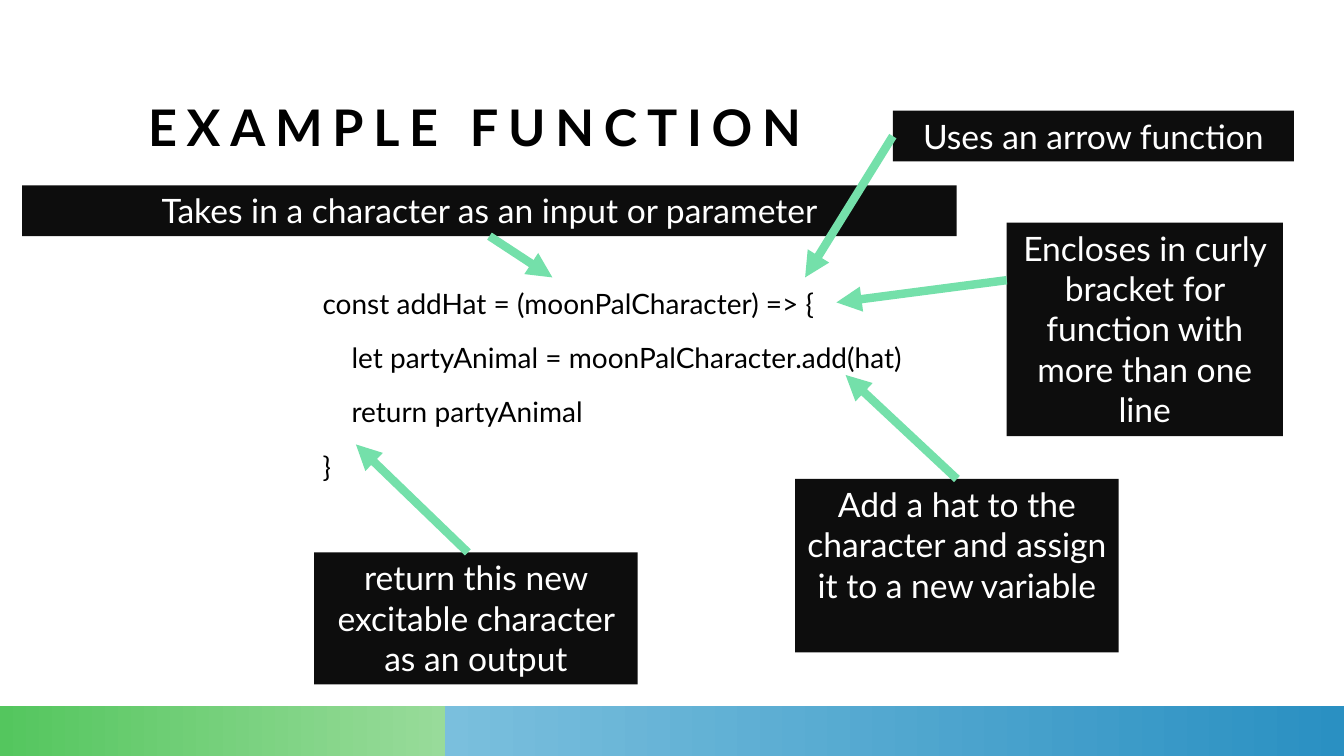
from lxml.etree import SubElement
from pptx import Presentation
from pptx.dml.color import RGBColor
from pptx.enum.shapes import MSO_CONNECTOR as Connector, MSO_SHAPE as Shape
from pptx.enum.text import MSO_ANCHOR as Anchor, MSO_AUTO_SIZE as AutoSize, PP_ALIGN as Align
from pptx.oxml.ns import qn
from pptx.util import Cm, Pt

COLOURS = {
    "ink": "000000", "paper": "FFFFFF", "callout": "0D0D0D", "arrow": "74E0AA",
    "green": "54C65E", "pale_green": "98DB9A", "sky": "7ABFDD", "blue": "2A90C2",
}
FONT = "Lato"
BOTTOM, LEFT, TOP = 2, 1, 0
CODE = [
    ("const addHat = (moonPalCharacter) => {", 0),
    ("let partyAnimal = moonPalCharacter.add(hat)", 0.73),
    ("return partyAnimal", 0.73),
    ("}", 0),
]
CALLOUTS = [
    ("Takes in a character as an input or parameter",
     (0.56, 4.67, 23.55, 1.28), BOTTOM, (13.92, 6.99)),
    ("Add a hat to the character and assign it to a new variable",
     (20.04, 12.07, 8.15, 4.37), TOP, (21.31, 9.45)),
    ("return this new excitable character as an output",
     (7.92, 13.92, 8.15, 3.33), (11.79, 13.92), (8.97, 11.2)),
    ("Uses an arrow function",
     (22.5, 2.79, 10.11, 1.28), LEFT, (20.29, 6.99)),
    ("Encloses in curly bracket for function with more than one line",
     (25.37, 5.61, 6.96, 5.38), (25.37, 7.06), (21.08, 7.62)),
]


def colour(name):
    return RGBColor.from_string(COLOURS[name])


def lengths(values):
    return [Cm(value) for value in values]


def set_all(target, values):
    for name, value in values.items():
        setattr(target, name, value)


def write(para, text, size, ink, bold=False):
    span = para.add_run()
    span.text = text
    set_all(span.font, {"name": FONT, "size": Pt(size), "bold": bold})
    span.font.color.rgb = colour(ink)
    return span


def frame_format(margin, anchor):
    sides = ("margin_left", "margin_right", "margin_top", "margin_bottom")
    return {**dict.fromkeys(sides, margin), "word_wrap": True,
            "auto_size": AutoSize.NONE, "vertical_anchor": anchor}


def add_rectangle(page, place):
    box = page.shapes.add_shape(Shape.RECTANGLE, *lengths(place))
    box.shadow.inherit = False
    box.line.fill.background()
    return box


def add_band(page, place, start, end):
    fill = add_rectangle(page, place).fill
    fill.gradient()
    fill.gradient_angle = 0
    for stop, name in zip(fill.gradient_stops, (start, end)):
        stop.color.rgb = colour(name)


def add_title(page, text):
    title = page.shapes.title
    set_all(title, dict(zip(("left", "top", "width", "height"),
                            lengths((3.73, 0.51, 28.45, 3.43)))))
    set_all(title.text_frame, frame_format(0, Anchor.BOTTOM))
    para = title.text_frame.paragraphs[0]
    para.alignment = Align.LEFT
    span = write(para, text, 36, "ink", True)
    span.font._element.set("spc", "700")


def add_code(page):
    box = page.shapes.add_textbox(*lengths((8.13, 7.04, 24, 10.26)))
    frame = box.text_frame
    set_all(frame, frame_format(0, Anchor.TOP))
    for number, (text, indent) in enumerate(CODE):
        para = frame.add_paragraph() if number else frame.paragraphs[0]
        set_all(para, {"line_spacing": 1.2, "space_before": Pt(10)})
        para._p.get_or_add_pPr().set("marL", str(Cm(indent)))
        write(para, text, 20, "ink")


def add_callout(page, text, place):
    box = add_rectangle(page, place)
    box.fill.solid()
    box.fill.fore_color.rgb = colour("callout")
    set_all(box.text_frame, {"word_wrap": True, "vertical_anchor": Anchor.TOP})
    para = box.text_frame.paragraphs[0]
    para.alignment = Align.CENTER
    write(para, text, 24, "paper")
    return box


def add_arrow(page, box, start, end):
    joined = isinstance(start, int)
    begin = end if joined else start
    arrow = page.shapes.add_connector(Connector.STRAIGHT, *lengths(begin + end))
    if joined:
        arrow.begin_connect(box, start)
    arrow.line.width = Pt(6)
    arrow.line.color.rgb = colour("arrow")
    SubElement(arrow.line._get_or_add_ln(), qn("a:tailEnd"), type="triangle")
    SubElement(arrow._element.spPr, qn("a:effectLst"))


def main():
    deck = Presentation()
    set_all(deck, {"slide_width": Cm(33.87), "slide_height": Cm(19.05)})
    page = deck.slides.add_slide(deck.slide_layouts.get_by_name("Title Only"))
    add_band(page, (0, 17.78, 11.22, 1.27), "green", "pale_green")
    add_band(page, (11.22, 17.78, 22.65, 1.27), "sky", "blue")
    add_title(page, "EXAMPLE FUNCTION")
    add_code(page)
    for text, place, start, end in CALLOUTS:
        box = add_callout(page, text, place)
        add_arrow(page, box, start, end)
    deck.save("out.pptx")


if __name__ == "__main__":
    main()
